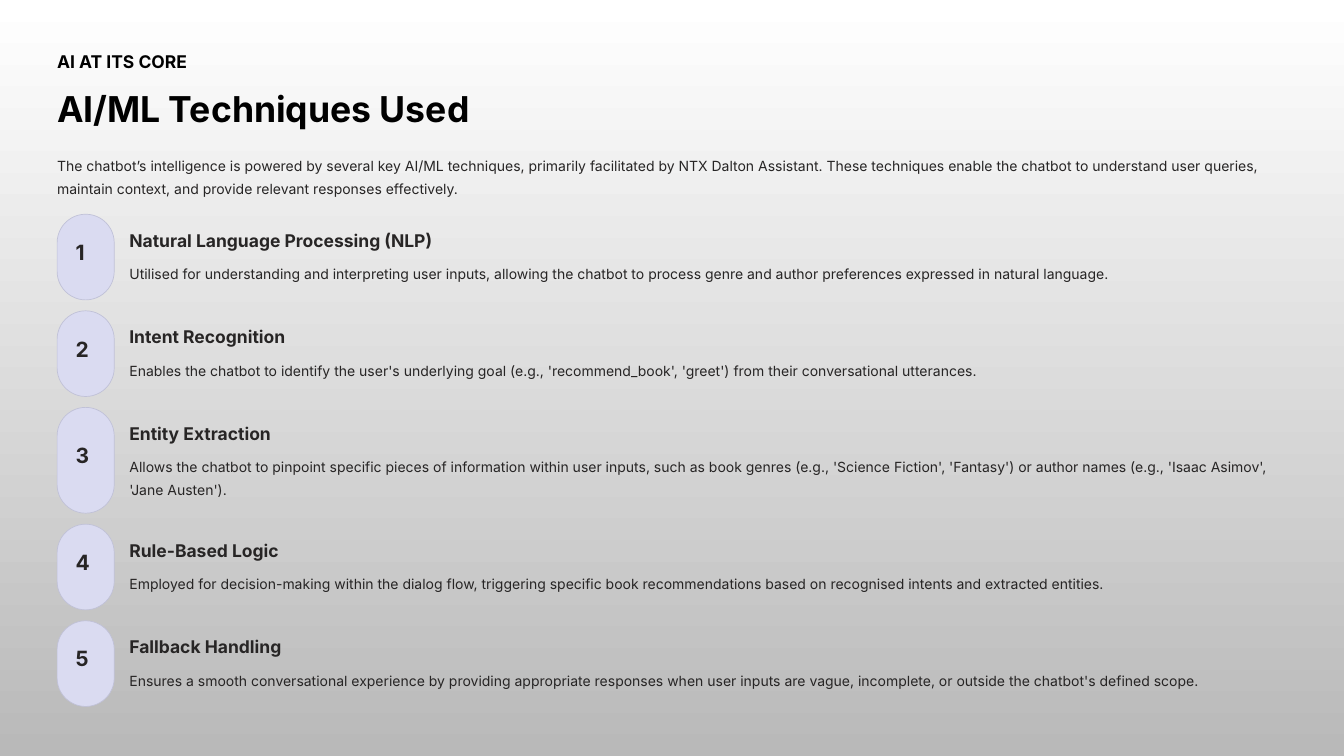
"""Build the slide on AI/ML techniques with five numbered rows."""
from pptx import Presentation
from pptx.dml.color import RGBColor
from pptx.enum import shapes, text
from pptx.util import Inches, Pt

EYEBROW = "AI AT ITS CORE"
TITLE = "AI/ML Techniques Used"
INTRO = (
    "The chatbot’s intelligence is powered by several key AI/ML techniques, primarily "
    "facilitated by NTX Dalton Assistant. These techniques enable the chatbot to understand "
    "user queries, maintain context, and provide relevant responses effectively."
)
TECHNIQUES = [
    ("Natural Language Processing (NLP)", 1,
     "Utilised for understanding and interpreting user inputs, allowing the chatbot to process "
     "genre and author preferences expressed in natural language."),
    ("Intent Recognition", 1,
     "Enables the chatbot to identify the user's underlying goal (e.g., 'recommend_book', "
     "'greet') from their conversational utterances."),
    ("Entity Extraction", 2,
     "Allows the chatbot to pinpoint specific pieces of information within user inputs, such as "
     "book genres (e.g., 'Science Fiction', 'Fantasy') or author names (e.g., 'Isaac Asimov', "
     "'Jane Austen')."),
    ("Rule-Based Logic", 1,
     "Employed for decision-making within the dialog flow, triggering specific book "
     "recommendations based on recognised intents and extracted entities."),
    ("Fallback Handling", 1,
     "Ensures a smooth conversational experience by providing appropriate responses when user "
     "inputs are vague, incomplete, or outside the chatbot's defined scope."),
]
COLORS = {"top": "FFFFFF", "bottom": "B9B9B9", "title": "000000", "body": "272525",
          "pill": "DADBF1", "edge": "C0C1D7"}
FONT = "Inter"
LEFT, TEXT_LEFT, RIGHT = 0.68, 1.54, 15.32
ROWS_TOP, ROW_GAP, PILL_W, NUMBER_H = 2.55, 0.13, 0.68, 0.32


def rgb(name):
    return RGBColor.from_string(COLORS[name])


def add_text(slide, words, x, y, w, h, size=12, leading=19.5, color="body", bold=False,
             wrap=False):
    tf = slide.shapes.add_textbox(Inches(x), Inches(y), Inches(w), Inches(h)).text_frame
    tf.margin_left = tf.margin_right = tf.margin_top = tf.margin_bottom = 0
    tf.word_wrap = wrap
    tf.vertical_anchor = text.MSO_ANCHOR.TOP
    p = tf.paragraphs[0]
    p.line_spacing = Pt(leading)
    r = p.add_run()
    r.text = words
    r.font.name, r.font.size, r.font.bold = FONT, Pt(size), bold
    r.font.color.rgb = rgb(color)


def add_pill(slide, y, h):
    sp = slide.shapes.add_shape(shapes.MSO_SHAPE.ROUNDED_RECTANGLE,
                                Inches(LEFT), Inches(y), Inches(PILL_W), Inches(h))
    sp.adjustments[0] = 0.5
    sp.shadow.inherit = False
    sp.fill.solid()
    sp.fill.fore_color.rgb = rgb("pill")
    sp.line.color.rgb = rgb("edge")
    sp.line.width = Pt(0.6)


def main():
    prs = Presentation()
    prs.slide_width, prs.slide_height = Inches(16), Inches(9)
    slide = prs.slides.add_slide(prs.slide_layouts[6])

    fill = slide.background.fill
    fill.gradient()
    fill.gradient_angle = 270
    for stop, name in zip(fill.gradient_stops, ("top", "bottom")):
        stop.color.rgb = rgb(name)

    add_text(slide, EYEBROW, LEFT, 0.59, 2.13, 0.27, size=15, leading=19, color="title",
             bold=True)
    add_text(slide, TITLE, LEFT, 1.02, 4.95, 0.53, size=30.5, leading=38, color="title",
             bold=True)
    add_text(slide, INTRO, LEFT, 1.81, RIGHT - LEFT, 0.55, wrap=True)

    y = ROWS_TOP
    for number, (name, lines, detail) in enumerate(TECHNIQUES, 1):
        h = 0.78 + 0.24 * lines
        add_pill(slide, y, h)
        add_text(slide, str(number), 0.9, y + (h - NUMBER_H) / 2, 0.26, NUMBER_H, size=18,
                 leading=18, bold=True)
        add_text(slide, name, TEXT_LEFT, y + 0.17, 3.7, 0.27, size=15, leading=19, bold=True)
        add_text(slide, detail, TEXT_LEFT, y + 0.54, RIGHT - TEXT_LEFT, 0.27 * lines,
                 wrap=lines > 1)
        y += h + ROW_GAP

    prs.save("out.pptx")


if __name__ == "__main__":
    main()
